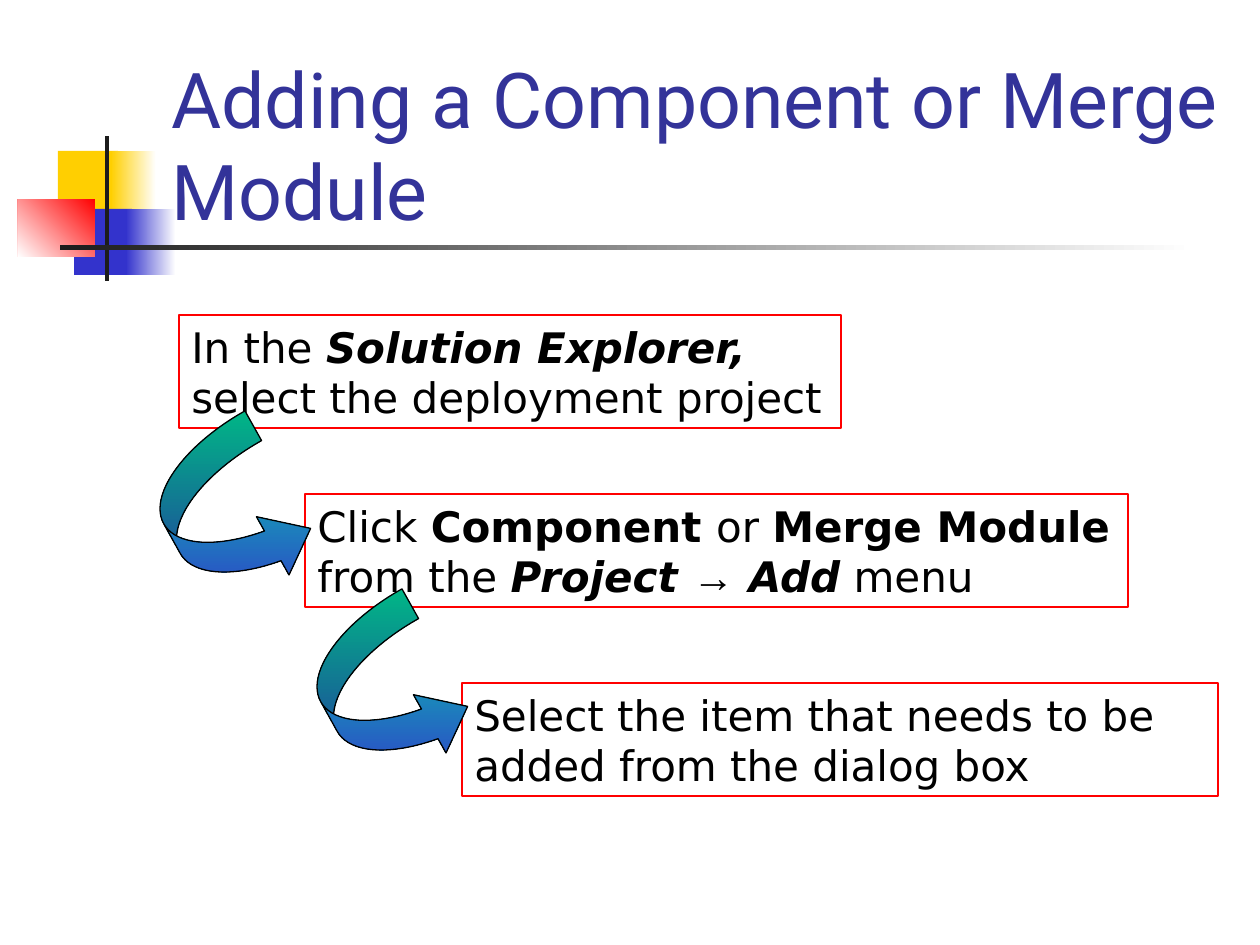
from pptx import Presentation
from pptx.dml.color import RGBColor
from pptx.enum.shapes import MSO_SHAPE
from pptx.enum.text import MSO_ANCHOR, MSO_AUTO_SIZE, PP_ALIGN
from pptx.oxml.ns import qn
from pptx.util import Emu, Pt

RECTANGLE = MSO_SHAPE.RECTANGLE
CURVED_ARROW = MSO_SHAPE.CURVED_RIGHT_ARROW
BOTTOM, TOP = MSO_ANCHOR.BOTTOM, MSO_ANCHOR.TOP
LEFT = PP_ALIGN.LEFT
GROW = MSO_AUTO_SIZE.SHAPE_TO_FIT_TEXT

PX_PER_INCH = 126
BODY_FONT, TITLE_FONT, SYMBOL_FONT = "DejaVu Sans", "Roboto", "Arial"
WHITE, BLACK, CHARCOAL = "FFFFFF", "000000", "1C1C1C"
YELLOW, BLUE, RED = "FFCF01", "3333CC", "FF0000"
GREEN, TITLE_BLUE = "00E4A8", "333399"

STEPS = [
    ((179, 315, 662, 113), [
        ("In the ", ""), ("Solution Explorer,", "bi"),
        (" select the deployment project", "")]),
    ((305, 494, 823, 113), [
        ("Click ", ""), ("Component ", "b"), ("or ", ""),
        ("Merge Module", "b"), (" from the ", ""), ("Project ", "bi"),
        ("→", "bis"), (" Add", "bi"), (" menu", "")]),
    ((462, 683, 756, 113), [
        ("Select the item that needs to be added from the dialog box", "")]),
]
ARROWS = [(168, 431, 126, 168), (325, 609, 126, 168)]


def px(length):
    return Emu(round(length * 914400 / PX_PER_INCH))


def color(hex_code):
    return RGBColor.from_string(hex_code)


def add_block(slide, kind, box):
    block = slide.shapes.add_shape(kind, *map(px, box))
    block.shadow.inherit = False
    return block


def fill_gradient(block, start, end, clockwise_angle):
    block.fill.gradient()
    block.fill.gradient_angle = 360 - clockwise_angle
    for stop, hex_code in zip(block.fill.gradient_stops, (start, end)):
        stop.color.rgb = color(hex_code)


def format_run(run, size, font, hex_code):
    run.font.size = Pt(size)
    run.font.name = font
    run.font.color.rgb = color(hex_code)


def add_ornament(slide, box):
    left, top, width, height = box
    pieces = [
        ((40, 15, 60, 66), YELLOW, None),
        ((93, 15, 45, 66), (WHITE, YELLOW), 180),
        ((56, 73, 58, 66), BLUE, None),
        ((108, 73, 50, 66), (WHITE, BLUE), 180),
        ((0, 63, 77, 58), (RED, WHITE), 135),
        ((87, 0, 4, height), CHARCOAL, None),
        ((42, 109, width - 42, 5), (WHITE, CHARCOAL), 180),
    ]
    for (x, y, w, h), paint, angle in pieces:
        piece = add_block(slide, RECTANGLE, (left + x, top + y, w, h))
        piece.line.fill.background()
        if angle is None:
            piece.fill.solid()
            piece.fill.fore_color.rgb = color(paint)
        else:
            fill_gradient(piece, *paint, angle)


def add_title(slide, box):
    title = slide.shapes.add_textbox(*map(px, box))
    frame = title.text_frame
    frame.word_wrap = True
    frame.vertical_anchor = BOTTOM
    frame.text = "Adding a Component or Merge Module"
    format_run(frame.paragraphs[0].runs[0], 44, TITLE_FONT, TITLE_BLUE)


def add_step(slide, box, pieces):
    step = add_block(slide, RECTANGLE, box)
    step.fill.background()
    step.line.color.rgb = color(RED)
    step.line.width = Pt(0.75)
    frame = step.text_frame
    frame.word_wrap = True
    frame.auto_size = GROW
    frame.vertical_anchor = TOP
    instruction = frame.paragraphs[0]
    instruction.alignment = LEFT
    instruction.space_before = Pt(15)
    for words, style in pieces:
        run = instruction.add_run()
        run.text = words
        format_run(run, 24, SYMBOL_FONT if "s" in style else BODY_FONT, BLACK)
        run.font.bold = "b" in style
        run.font.italic = "i" in style


def add_step_arrow(slide, box):
    arrow = add_block(slide, CURVED_ARROW, box)
    for index, ratio in enumerate((0.27, 0.53, 0.33)):
        arrow.adjustments[index] = ratio
    arrow.rotation = 330.8
    fill_gradient(arrow, GREEN, BLUE, 90)
    arrow.element.spPr.find(qn("a:gradFill")).set("rotWithShape", "0")
    arrow.line.color.rgb = color(BLACK)
    arrow.line.width = Pt(0.75)


def main():
    deck = Presentation()
    deck.slide_width, deck.slide_height = px(1260), px(945)
    slide = deck.slides.add_slide(deck.slide_layouts[6])
    add_ornament(slide, (18, 136, 1176, 145))
    add_title(slide, (159, 84, 1074, 158))
    for box, pieces in STEPS:
        add_step(slide, box, pieces)
    for box in ARROWS:
        add_step_arrow(slide, box)
    deck.save("out.pptx")


if __name__ == "__main__":
    main()
